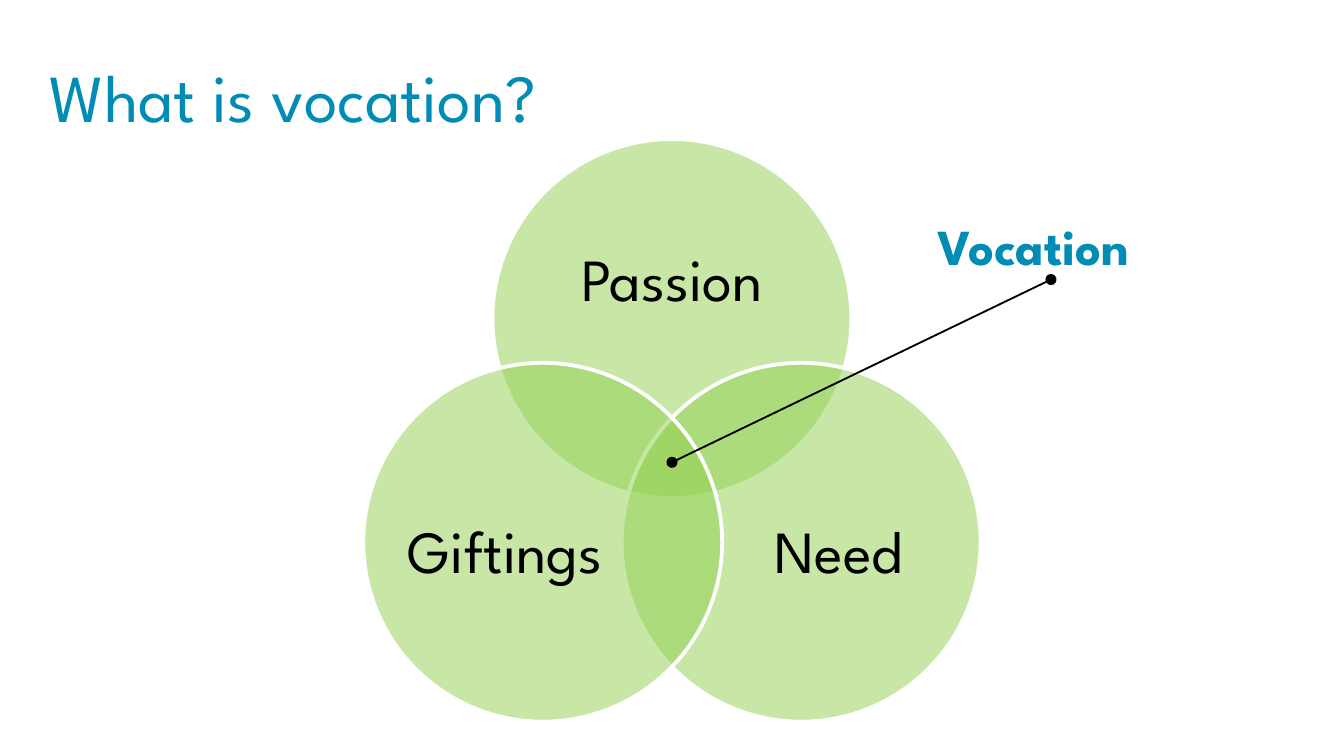
import math
import pptx
import pptx.util
import pptx.dml.color
import pptx.enum.shapes
import pptx.enum.text
import pptx.oxml
import pptx.oxml.ns
from pptx.util import Inches

THEME = {
    "font": "League Spartan",
    "accent": "008CB4", "circle": "92D050", "edge": "FFFFFF", "ink": "000000",
    "title": 36, "label": 32, "callout": 27,
    "edge_width": 2, "pointer_width": 1, "opacity": 50,
}
TITLE = ("What is vocation?", (0.27, 0.36, 5.15, 0.79))
CALLOUT = ("Vocation", (6.88, 1.55, 2.39, 0.56))
CIRCLES = [
    {"text": "Passion", "angle": -90, "shift": (0, -0.27), "size": (1.96, 1.2)},
    {"text": "Need", "angle": 30, "shift": (0.28, 0.09), "size": (1.6, 1.47)},
    {"text": "Giftings", "angle": 150, "shift": (-0.28, 0.09), "size": (1.6, 1.47)},
]
CENTER = (5, 3.48)
ORBIT = 1.11
DIAMETER = 2.67
POINTER = ((5, 3.44), (7.82, 2.08))


def color(name):
    return pptx.dml.color.RGBColor.from_string(THEME[name])


def add_xml(parent, tag, **attrs):
    el = pptx.oxml.parse_xml(f"<a:{tag} {pptx.oxml.ns.nsdecls('a')}/>")
    for key, value in attrs.items():
        el.set(key, value)
    parent.append(el)


def centered(x, y, w, h):
    return x - w / 2, y - h / 2, w, h


def add_text(s, text, box, size, ink, bold=False, frame=None, para=None):
    tf = s.shapes.add_textbox(*map(Inches, box)).text_frame
    p = tf.paragraphs[0]
    r = p.add_run()
    r.text = text
    formats = [
        (tf, {"word_wrap": True, **(frame or {})}),
        (p, para or {}),
        (r.font, {"name": THEME["font"], "size": pptx.util.Pt(THEME[size]), "bold": bold}),
    ]
    for target, values in formats:
        for key, value in values.items():
            setattr(target, key, value)
    r.font.color.rgb = color(ink)


def add_circle(s, x, y):
    box = centered(x, y, DIAMETER, DIAMETER)
    sp = s.shapes.add_shape(pptx.enum.shapes.MSO_SHAPE.OVAL, *map(Inches, box))
    sp.shadow.inherit = False
    sp.fill.solid()
    sp.fill.fore_color.rgb = color("circle")
    fill = sp.fill._xPr.find(pptx.oxml.ns.qn("a:solidFill"))
    add_xml(fill[0], "alpha", val=str(THEME["opacity"] * 1000))
    sp.line.color.rgb = color("edge")
    sp.line.width = pptx.util.Pt(THEME["edge_width"])


def add_pointer(s, start, end):
    line = s.shapes.add_connector(
        pptx.enum.shapes.MSO_CONNECTOR.STRAIGHT, *map(Inches, (*start, *end)))
    line.line.color.rgb = color("ink")
    line.line.width = pptx.util.Pt(THEME["pointer_width"])
    for tag in ("headEnd", "tailEnd"):
        add_xml(line.line._get_or_add_ln(), tag, type="oval")
    add_xml(line._element.spPr, "effectLst")


def main():
    prs = pptx.Presentation()
    prs.slide_width = Inches(10)
    prs.slide_height = prs.slide_width * 9 // 16
    s = prs.slides.add_slide(prs.slide_layouts[6])
    add_text(s, *TITLE, "title", "accent")

    sides = ("left", "top", "right", "bottom")
    frame = {f"margin_{side}": 0 for side in sides}
    frame["vertical_anchor"] = pptx.enum.text.MSO_ANCHOR.MIDDLE
    para = {"alignment": pptx.enum.text.PP_ALIGN.CENTER, "line_spacing": 0.9}
    for c in CIRCLES:
        angle = math.radians(c["angle"])
        x = CENTER[0] + ORBIT * math.cos(angle)
        y = CENTER[1] + ORBIT * math.sin(angle)
        add_circle(s, x, y)
        dx, dy = c["shift"]
        add_text(s, c["text"], centered(x + dx, y + dy, *c["size"]),
                 "label", "ink", frame=frame, para=para)

    add_text(s, *CALLOUT, "callout", "accent", bold=True)
    add_pointer(s, *POINTER)
    prs.save("out.pptx")


if __name__ == "__main__":
    main()
